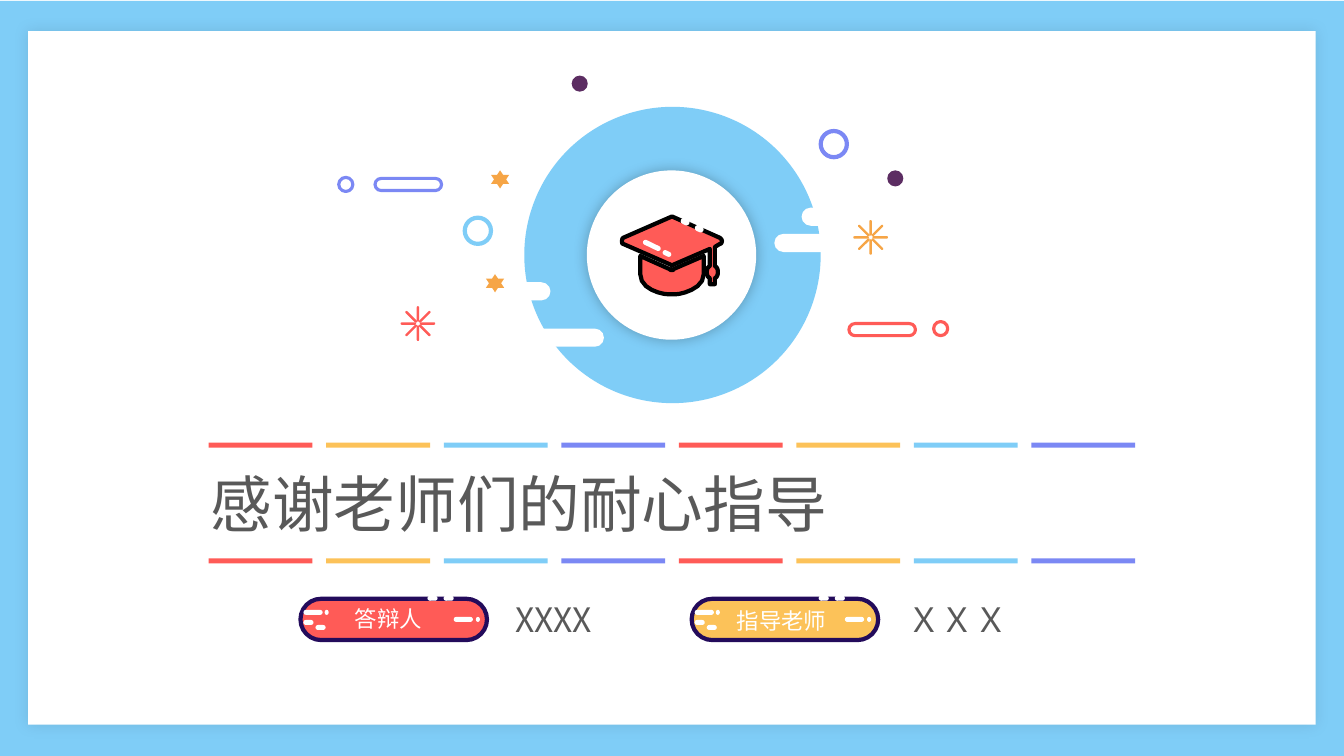
from math import cos, radians, sin

from lxml import etree
from pptx import Presentation
from pptx.dml.color import RGBColor
from pptx.enum import shapes, text
from pptx.oxml import ns
from pptx.util import Inches, Pt

FONT = "Noto Sans CJK SC"
SKY = RGBColor(0x7F, 0xCD, 0xF7)
WHITE = RGBColor(0xFF, 0xFF, 0xFF)
BLACK = RGBColor(0, 0, 0)
RED = RGBColor(0xFF, 0x5B, 0x57)
ORANGE = RGBColor(0xF6, 0xA5, 0x46)
YELLOW = RGBColor(0xFC, 0xC2, 0x59)
VIOLET = RGBColor(0x7B, 0x88, 0xF4)
PLUM = RGBColor(0x5C, 0x2D, 0x62)
NAVY = RGBColor(0x23, 0x0B, 0x5B)
GREY = RGBColor(0x59, 0x59, 0x59)

RECT = shapes.MSO_SHAPE.RECTANGLE
OVAL = shapes.MSO_SHAPE.OVAL
PILL = shapes.MSO_SHAPE.ROUNDED_RECTANGLE
STAR = shapes.MSO_SHAPE.STAR_6_POINT

TITLE = "感谢老师们的耐心指导"
PEOPLE = [
    (2.98, RED, "答辩人", (3.42, 5.95, 0.92, 0.37), "XXXX", (5.01, 5.89, 1.32, 0.5)),
    (6.86, YELLOW, "指导老师", (7.21, 5.97, 1.11, 0.37), "ＸＸＸ", (8.9, 5.89, 1.46, 0.5)),
]
PILL_GLINTS = [
    (PILL, 1.42, 5.91, 0.1), (PILL, 1.26, 5.91, 0.1),
    (PILL, 1.52, 6.12, 0.19), (OVAL, 1.74, 6.12, 0.04),
    (PILL, 0.03, 6.05, 0.19), (OVAL, 0.24, 6.05, 0.04),
    (PILL, 0.03, 6.15, 0.1), (PILL, 0.15, 6.2, 0.1),
]
CAP_GLINTS = [(6.75, 2.17, 0.09, 0.06), (6.89, 2.24, 0.09, 0.06),
              (6.37, 2.41, 0.19, 0.05), (6.57, 2.49, 0.09, 0.05)]
CLOUDS = [(7.68, 2.32), (7.95, 2.06), (5.14, 3.26), (4.61, 2.8)]
STARS = [(4.87, 1.69), (4.82, 2.72)]
DOTS = [(8.8, 1.69), (5.67, 0.75)]
RINGS = [(4.61, 2.16, 0.26, SKY, 3), (8.14, 1.3, 0.26, VIOLET, 3),
         (9.26, 3.19, 0.14, RED, 2.25), (3.36, 1.76, 0.14, VIOLET, 2.25)]
BARS = [(8.42, 3.21, RED), (3.72, 1.77, VIOLET)]
BURSTS = [(4.145, 3.21, RED), (8.635, 2.355, ORANGE)]
STRIPES = [RED, YELLOW, SKY, VIOLET] * 2

# Pairs are corners; six numbers are the controls and end of a curve.
CAP = [
    [(7.14, 2.36), (6.67, 2.15), (6.66, 2.15), (6.18, 2.36),
     (6.17, 2.37, 6.17, 2.38, 6.17, 2.39), (6.17, 2.41, 6.17, 2.42, 6.18, 2.42),
     (6.66, 2.63), (6.66, 2.64), (6.67, 2.63), (7.04, 2.47), (7.04, 2.64),
     (7.02, 2.65, 7.01, 2.67, 7.01, 2.7), (7.01, 2.73, 7.02, 2.75, 7.04, 2.76),
     (7.04, 2.82), (7.09, 2.82), (7.09, 2.76),
     (7.11, 2.75, 7.12, 2.73, 7.12, 2.7), (7.12, 2.67, 7.11, 2.65, 7.09, 2.64),
     (7.09, 2.45), (7.14, 2.42),
     (7.15, 2.42, 7.16, 2.41, 7.16, 2.39), (7.16, 2.38, 7.15, 2.37, 7.14, 2.36)],
    [(6.66, 2.68), (6.66, 2.68, 6.65, 2.68, 6.64, 2.67), (6.35, 2.54), (6.35, 2.72),
     (6.35, 2.87, 6.56, 2.92, 6.63, 2.92), (6.7, 2.92),
     (6.75, 2.92, 6.98, 2.87, 6.98, 2.72), (6.98, 2.54), (6.68, 2.67),
     (6.68, 2.68, 6.67, 2.68, 6.66, 2.68)],
]


def style(sp, fill=None, line=None, width=1):
    """Give a shape its fill and outline, without a shadow."""
    sp.shadow.inherit = False
    if fill is None:
        sp.fill.background()
    else:
        sp.fill.solid()
        sp.fill.fore_color.rgb = fill
    if line is None:
        sp.line.fill.background()
    else:
        sp.line.color.rgb = line
        sp.line.width = Pt(width)
    return sp


def add(s, kind, x, y, w, h, fill=None, line=None, width=1, turn=0):
    """Add one preset shape."""
    sp = s.shapes.add_shape(kind, Inches(x), Inches(y), Inches(w), Inches(h))
    if kind == PILL:
        sp.adjustments[0] = 0.5
    sp.rotation = turn
    return style(sp, fill, line, width)


def glow(sp, opacity):
    """Add a soft, centred black shadow."""
    effects = sp._element.spPr.find(ns.qn("a:effectLst"))
    shadow = etree.SubElement(effects, ns.qn("a:outerShdw"), blurRad=str(Pt(10)),
                              dist="0", dir="0", algn="ctr", rotWithShape="0")
    color = etree.SubElement(shadow, ns.qn("a:srgbClr"), val=str(BLACK))
    etree.SubElement(color, ns.qn("a:alpha"), val=str(opacity * 1000))


def write(sp, words, size, color, box):
    """Place a box and set its single line of text."""
    sp.left, sp.top, sp.width, sp.height = map(Inches, box)
    tf = sp.text_frame
    tf.text = words
    tf.word_wrap = True
    tf.auto_size = text.MSO_AUTO_SIZE.SHAPE_TO_FIT_TEXT
    tf.vertical_anchor = text.MSO_ANCHOR.TOP
    p = tf.paragraphs[0]
    p.alignment = text.PP_ALIGN.JUSTIFY
    p.font.size, p.font.name = Pt(size), FONT
    p.font.color.rgb = color
    etree.SubElement(p.font._element, ns.qn("a:ea"), typeface=FONT)


def outline(steps, pieces=6):
    """Turn corners and curves into a list of points in EMU."""
    points = []
    for *controls, x, y in steps:
        if controls:
            x0, y0 = points[-1]
            x1, y1, x2, y2 = controls
            for t in (i / pieces for i in range(1, pieces)):
                a, b, c, d = (1 - t) ** 3, 3 * t * (1 - t) ** 2, 3 * t * t * (1 - t), t ** 3
                points.append((a * x0 + b * x1 + c * x2 + d * x,
                               a * y0 + b * y1 + c * y2 + d * y))
        points.append((x, y))
    return [(Inches(x), Inches(y)) for x, y in points]


def add_cap(s):
    """Draw the graduation cap and its glints."""
    board, base = map(outline, CAP)
    builder = s.shapes.build_freeform(*board[0])
    builder.add_line_segments(board[1:], close=True)
    builder.move_to(*base[0])
    builder.add_line_segments(base[1:], close=True)
    style(builder.convert_to_shape(), RED, BLACK, 3)
    for box in CAP_GLINTS:
        add(s, PILL, *box, WHITE, turn=25.9)


def add_emblem(s):
    """Draw the round emblem with the ornaments around it."""
    add(s, OVAL, 5.2, 1.06, 2.94, 2.94, SKY)
    glow(add(s, OVAL, 5.82, 1.69, 1.68, 1.68, WHITE), 25)
    add_cap(s)
    for x, y in CLOUDS:
        add(s, PILL, x, y, 0.85, 0.18, WHITE)
    for x, y in STARS:
        add(s, STAR, x, y, 0.18, 0.18, ORANGE)
    for x, y, size, color, width in RINGS:
        add(s, OVAL, x, y, size, size, None, color, width)
    for x, y, color in BARS:
        add(s, PILL, x, y, 0.66, 0.12, WHITE, color, 2.25)
    for x, y in DOTS:
        add(s, OVAL, x, y, 0.16, 0.16, PLUM)
    for x, y, color in BURSTS:
        for turn in range(0, 360, 45):
            dx, dy = 0.095 * sin(radians(turn)), -0.095 * cos(radians(turn))
            add(s, PILL, x + dx - 0.005, y + dy - 0.07, 0.01, 0.14, ORANGE, color, 1, turn)


def main():
    """Build the closing slide."""
    prs = Presentation()
    prs.slide_width, prs.slide_height = Inches(13.33), Inches(7.5)
    s = prs.slides.add_slide(prs.slide_layouts[5])
    add(s, RECT, 0, 0.01, 13.33, 7.49, SKY)
    glow(add(s, RECT, 0.28, 0.31, 12.77, 6.88, WHITE), 10)
    add_emblem(s)
    title = s.shapes.title
    s.shapes._spTree.append(title._element)
    write(title, TITLE, 44, GREY, (1.99, 4.57, 9.36, 0.84))
    for y in (4.39, 5.54):
        for i, color in enumerate(STRIPES):
            add(s, RECT, 2.07 + i * 8.16 / 7, y, 1.03, 0.05, color)
    for x, color, role, role_box, name, name_box in PEOPLE:
        add(s, PILL, x, 5.94, 1.85, 0.41, color, NAVY, 3)
        for kind, dx, y, w in PILL_GLINTS:
            add(s, kind, x + dx, y, w, 0.05, WHITE)
        for words, size, ink, box in ((role, 16, WHITE, role_box), (name, 24, GREY, name_box)):
            write(s.shapes.add_textbox(0, 0, 0, 0), words, size, ink, box)
    prs.save("out.pptx")


if __name__ == "__main__":
    main()
